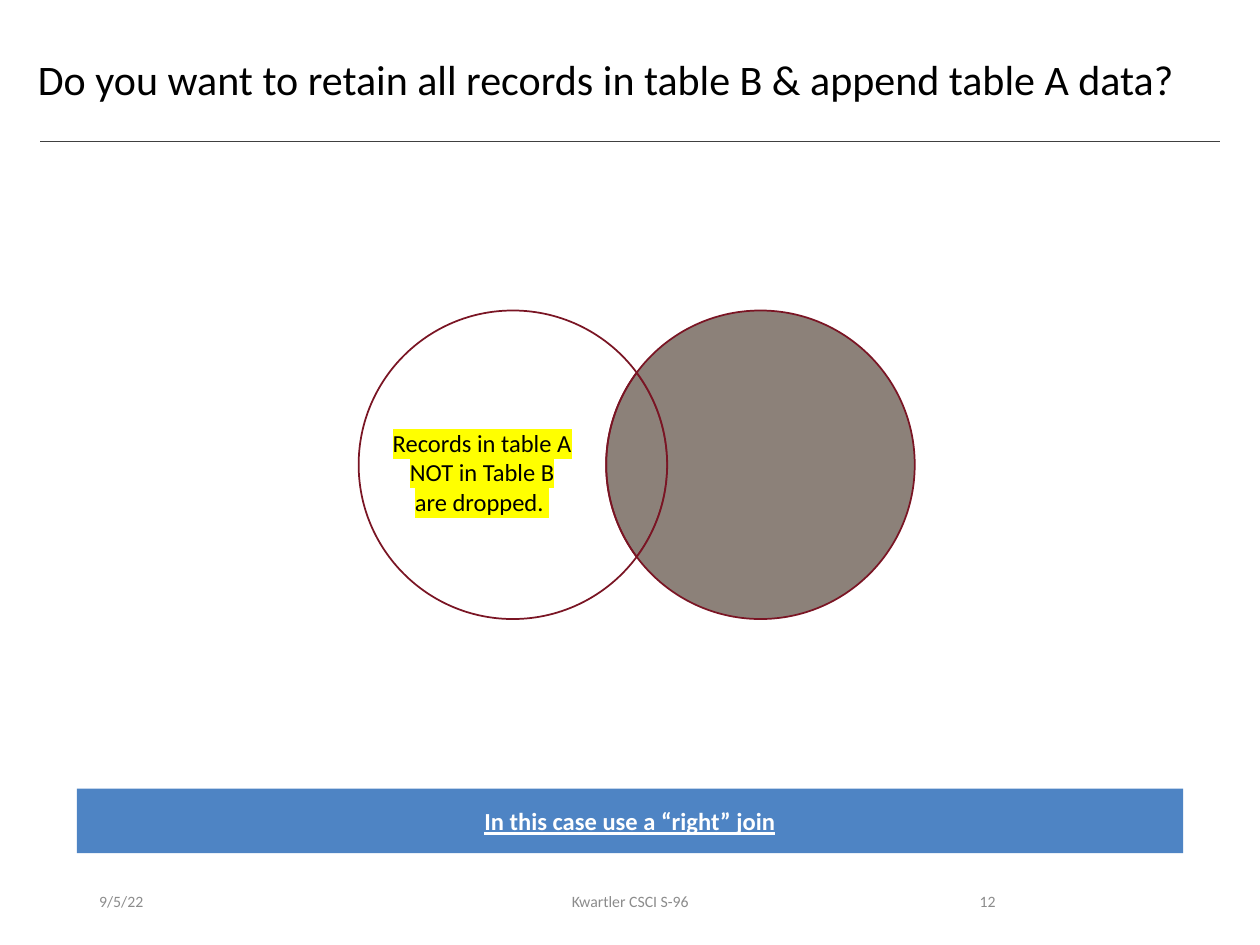
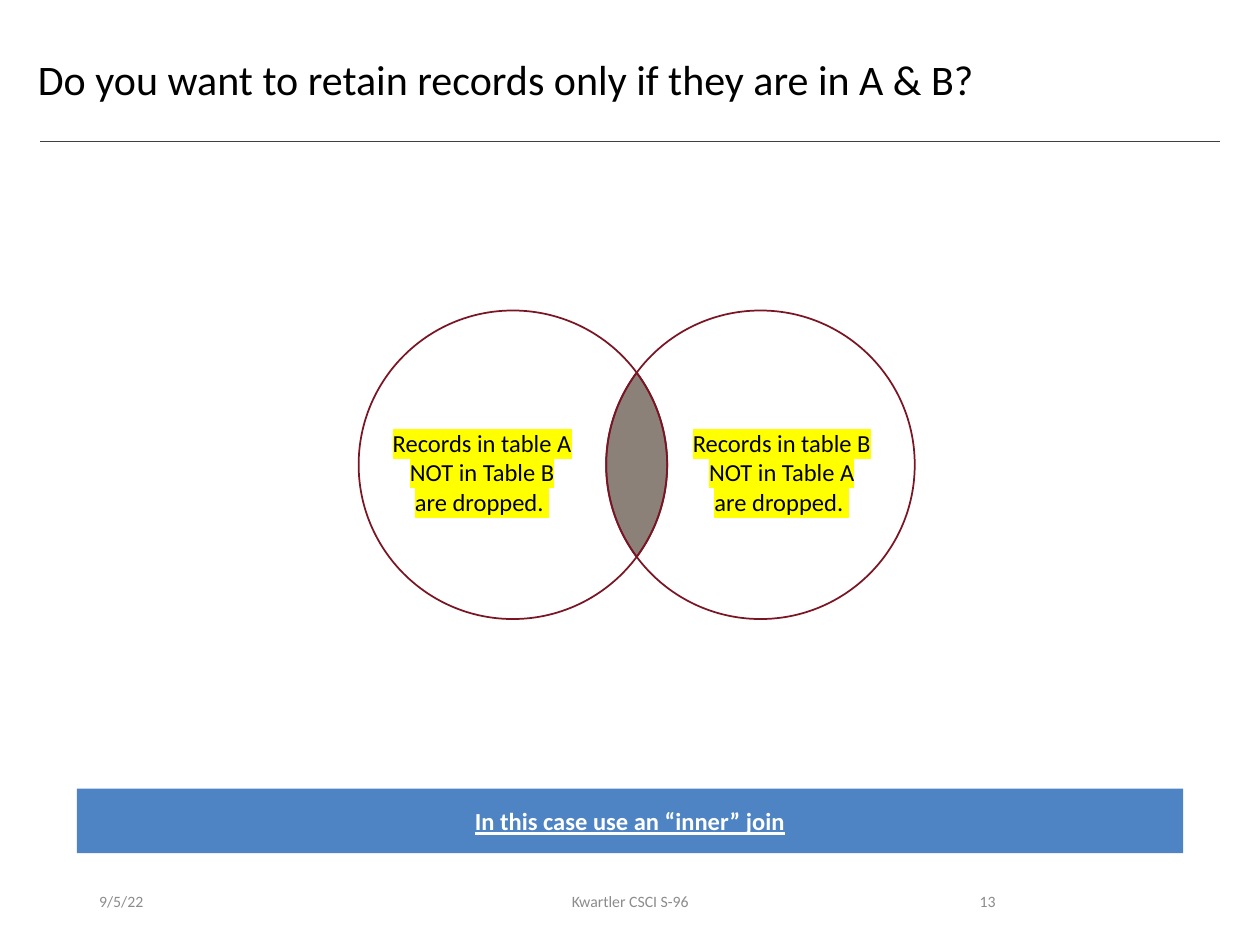
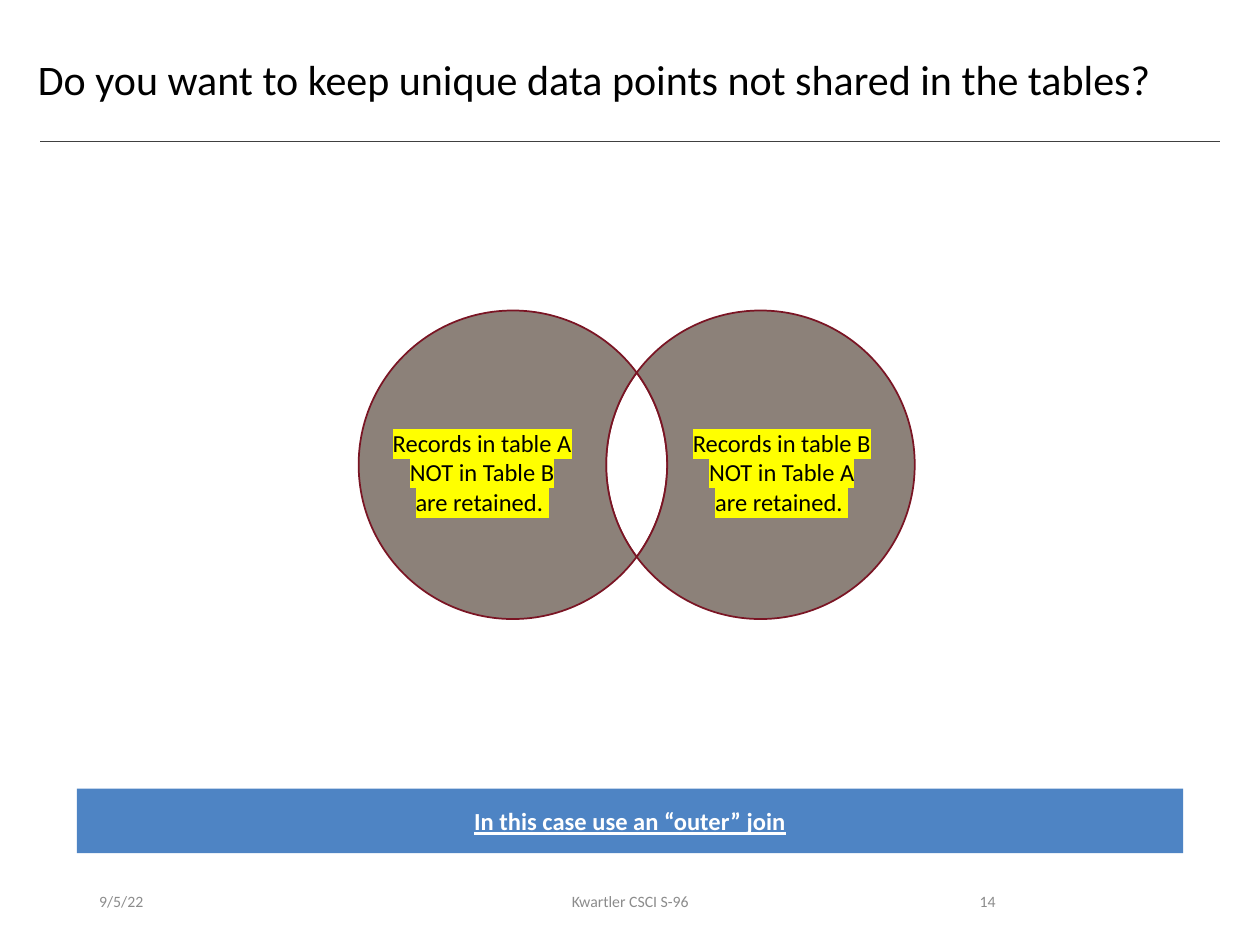
import math
from dataclasses import dataclass

from lxml import etree
from pptx import Presentation
from pptx import util as u
from pptx.dml.color import RGBColor
from pptx.enum import shapes, text
from pptx.oxml.ns import qn
from pptx.util import Cm, Pt

COLOURS = {
    "rule": "404040",
    "outline": "7A1524",
    "kept": "8C8179",
    "band": "4E84C4",
    "highlight": "FFFF00",
    "footer": "8C8C8C",
    "black": "000000",
    "white": "FFFFFF",
}
FONT = "Calibri"
TITLE_ONLY_LAYOUT = 5
FIRST_NUMBER = 12

RADIUS = 3.11
CENTRE_Y = 9.37
CENTRE_A, CENTRE_B = 10.34, 15.33
HALF_ANGLE = math.acos((CENTRE_B - CENTRE_A) / 2 / RADIUS)
QUARTER = math.pi / 2

Point = tuple[int, int]


@dataclass
class Box:
    """Position and size in centimetres."""
    left: float
    top: float
    width: float
    height: float

    def lengths(self) -> tuple[u.Length, ...]:
        return Cm(self.left), Cm(self.top), Cm(self.width), Cm(self.height)


@dataclass
class TextStyle:
    size: int
    colour: str
    align: text.PP_ALIGN = text.PP_ALIGN.CENTER
    anchor: text.MSO_ANCHOR = text.MSO_ANCHOR.MIDDLE
    emphasis: bool = False


@dataclass
class Join:
    title: str
    advice: str
    kept: set[str]
    callouts: dict[str, str]


TITLE_BOX = Box(0.51, 1.07, 24.51, 1.65)
BAND_BOX = Box(1.55, 15.9, 22.3, 1.3)
DATE_BOX = Box(1.75, 17.65, 5.72, 1.02)
FOOTER_BOX = Box(8.41, 17.65, 8.59, 1.02)
NUMBER_BOX = Box(17.93, 17.65, 2.39, 1.02)
CALLOUT_BOXES = {"A": Box(7.65, 8.5, 4.14, 2.06), "B": Box(13.69, 8.5, 4.14, 2.06)}

TITLE_STYLE = TextStyle(24, "black", text.PP_ALIGN.LEFT, text.MSO_ANCHOR.TOP)
BAND_STYLE = TextStyle(14, "white", emphasis=True)
CALLOUT_STYLE = TextStyle(14, "black", anchor=text.MSO_ANCHOR.TOP)
DATE_STYLE = TextStyle(9, "footer", text.PP_ALIGN.LEFT)
FOOTER_STYLE = TextStyle(9, "footer")
NUMBER_STYLE = TextStyle(9, "footer", text.PP_ALIGN.RIGHT)

JOINS = [
    Join("Do you want to retain all records in table B & append table A data?",
         "In this case use a “right” join", {"both", "B"},
         {"A": "Records in table A NOT in Table B are dropped. "}),
    Join("Do you want to retain records only if they are in A & B?",
         "In this case use an “inner” join", {"both"},
         {"A": "Records in table A NOT in Table B are dropped. ",
          "B": "Records in table B NOT in Table A are dropped. "}),
    Join("Do you want to keep unique data points not shared in the tables?",
         "In this case use an “outer” join", {"A", "B"},
         {"A": "Records in table A NOT in Table B are retained. ",
          "B": "Records in table B NOT in Table A are retained. "}),
]


def colour(name: str) -> RGBColor:
    return RGBColor.from_string(COLOURS[name])


def write(shape, content: str, style: TextStyle) -> None:
    frame = shape.text_frame
    frame.text = content
    frame.word_wrap = True
    frame.vertical_anchor = style.anchor
    paragraph = frame.paragraphs[0]
    paragraph.alignment = style.align
    font = paragraph.runs[0].font
    font.name = FONT
    font.size = Pt(style.size)
    font.color.rgb = colour(style.colour)
    if style.emphasis:
        font.bold = font.underline = True


def add_text(slide, box: Box, content: str, style: TextStyle):
    shape = slide.shapes.add_textbox(*box.lengths())
    write(shape, content, style)
    return shape


def add_callout(slide, box: Box, message: str) -> None:
    callout = add_text(slide, box, message, CALLOUT_STYLE)
    callout.text_frame.auto_size = text.MSO_AUTO_SIZE.SHAPE_TO_FIT_TEXT
    run = callout.text_frame.paragraphs[0].runs[0]
    mark = etree.Element(qn("a:highlight"))
    etree.SubElement(mark, qn("a:srgbClr"), val=COLOURS["highlight"])
    run._r.get_or_add_rPr().find(qn("a:solidFill")).addnext(mark)


def arc(centre_x: float, start: float, end: float) -> list[Point]:
    """Bezier points, three per curve after the first; angles run clockwise from the right."""
    def place(angle: float, tangent: float = 0) -> Point:
        x = math.cos(angle) - tangent * math.sin(angle)
        y = math.sin(angle) + tangent * math.cos(angle)
        return Cm(centre_x + RADIUS * x), Cm(CENTRE_Y + RADIUS * y)

    low, high = min(start, end), max(start, end)
    quarters = [step * QUARTER for step in range(-4, 5) if low < step * QUARTER < high]
    stops = sorted([low, *quarters, high], reverse=end < start)
    points = [place(start)]
    for first, last in zip(stops, stops[1:]):
        pull = 4 / 3 * math.tan((last - first) / 4)
        points += [place(first, pull), place(last, -pull), place(last)]
    return points


def venn_regions() -> dict[str, list[Point]]:
    inner_a = arc(CENTRE_A, -HALF_ANGLE, HALF_ANGLE)
    inner_b = arc(CENTRE_B, math.pi - HALF_ANGLE, math.pi + HALF_ANGLE)
    outer_a = arc(CENTRE_A, HALF_ANGLE, 2 * math.pi - HALF_ANGLE)
    outer_b = arc(CENTRE_B, math.pi - HALF_ANGLE, HALF_ANGLE - math.pi)
    return {
        "both": inner_a + inner_b[1:],
        "A": outer_a + inner_b[::-1][1:],
        "B": outer_b + inner_a[1:],
    }


def curve_segments(shape) -> None:
    """Turn every three straight segments of a freeform into one Bezier curve."""
    outline = shape._element.find(f".//{qn('a:path')}")
    lines = outline.findall(qn("a:lnTo"))
    for index in range(0, len(lines), 3):
        curve = etree.Element(qn("a:cubicBezTo"))
        lines[index].addprevious(curve)
        for line in lines[index:index + 3]:
            curve.append(line[0])
            outline.remove(line)


def add_venn(slide, kept: set[str]) -> None:
    for region, points in venn_regions().items():
        builder = slide.shapes.build_freeform(*points[0])
        builder.add_line_segments(points[1:], close=True)
        shape = builder.convert_to_shape()
        curve_segments(shape)
        shape.shadow.inherit = False
        shape.line.color.rgb = colour("outline")
        shape.line.width = Pt(1)
        if region in kept:
            shape.fill.solid()
            shape.fill.fore_color.rgb = colour("kept")
        else:
            shape.fill.background()


def add_rule(slide) -> None:
    rule = slide.shapes.add_connector(
        shapes.MSO_CONNECTOR.STRAIGHT, Cm(0.81), Cm(2.85), Cm(24.59), Cm(2.85))
    rule.line.color.rgb = colour("rule")
    rule.line.width = Pt(0.5)
    etree.SubElement(rule._element.spPr, qn("a:effectLst"))


def add_title(slide, content: str) -> None:
    title = slide.shapes.title
    title.left, title.top, title.width, title.height = TITLE_BOX.lengths()
    write(title, content, TITLE_STYLE)
    title.text_frame.paragraphs[0].line_spacing = 0.9


def add_band(slide, advice: str) -> None:
    band = slide.shapes.add_shape(shapes.MSO_SHAPE.RECTANGLE, *BAND_BOX.lengths())
    band.shadow.inherit = False
    band.fill.solid()
    band.fill.fore_color.rgb = colour("band")
    band.line.fill.background()
    write(band, advice, BAND_STYLE)


def add_join_slide(presentation, join: Join, number: int) -> None:
    slide = presentation.slides.add_slide(presentation.slide_layouts[TITLE_ONLY_LAYOUT])
    add_rule(slide)
    add_title(slide, join.title)
    add_text(slide, DATE_BOX, "9/5/22", DATE_STYLE)
    add_text(slide, NUMBER_BOX, str(number), NUMBER_STYLE)
    add_text(slide, FOOTER_BOX, "Kwartler CSCI S-96", FOOTER_STYLE)
    add_band(slide, join.advice)
    add_venn(slide, join.kept)
    for table, message in join.callouts.items():
        add_callout(slide, CALLOUT_BOXES[table], message)


def main() -> None:
    presentation = Presentation()
    presentation.slide_width, presentation.slide_height = Cm(25.4), Cm(19.05)
    for number, join in enumerate(JOINS, FIRST_NUMBER):
        add_join_slide(presentation, join, number)
    presentation.save("out.pptx")


if __name__ == "__main__":
    main()
